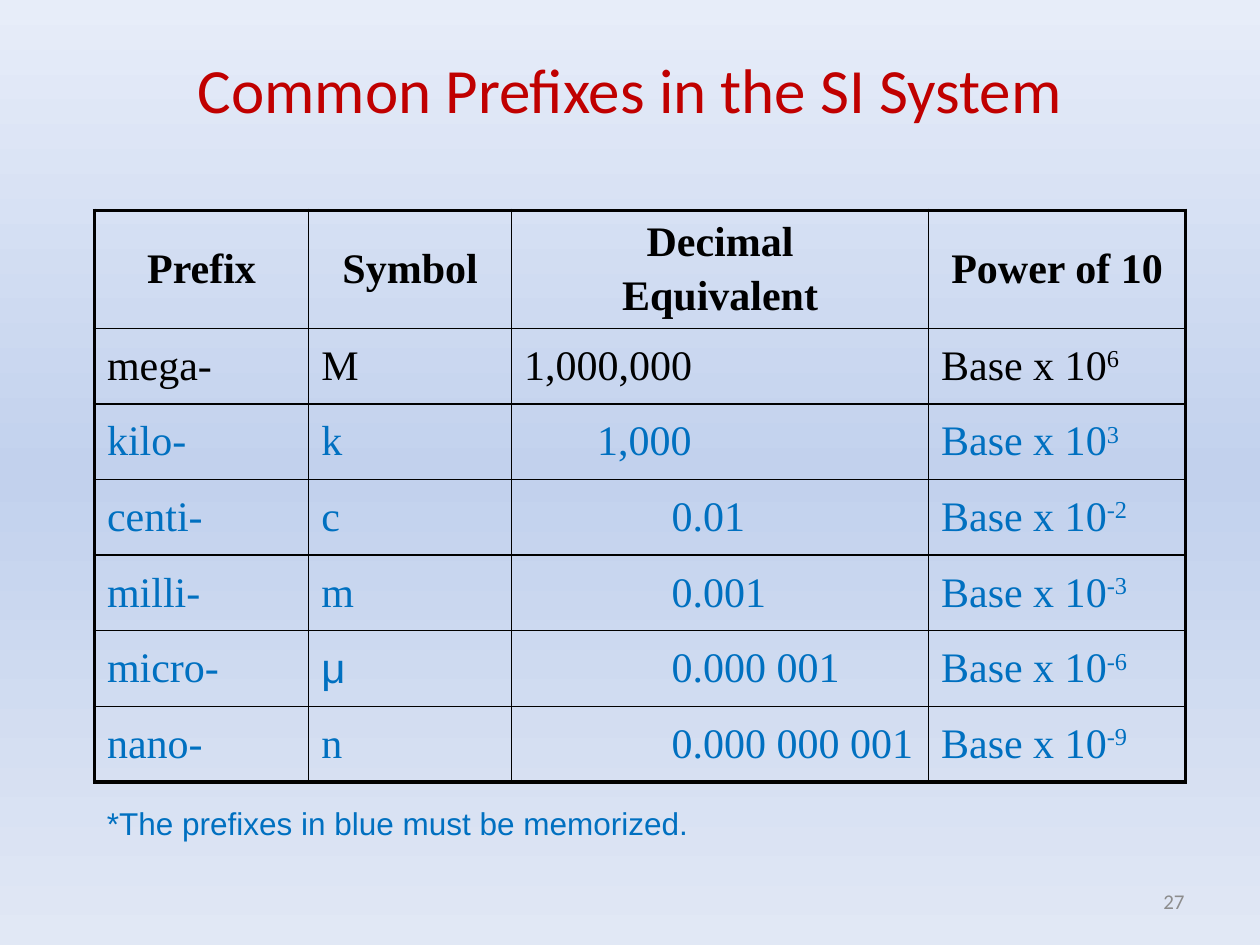
import copy

import pptx
import pptx.dml.color
import pptx.enum.text
import pptx.oxml
import pptx.oxml.ns
import pptx.util
from pptx.util import Inches

ALIGN = pptx.enum.text.PP_ALIGN
MIDDLE = pptx.enum.text.MSO_ANCHOR.MIDDLE
BLACK, BLUE, RED, GREY = "000000", "0070C0", "C00000", "8C8C8C"
BACKGROUND_STOPS = [(0, "E7EDF9"), (0.5, "C2D1ED"), (1, "E1E8F5")]

HEADINGS = ["Prefix", "Symbol", "Decimal\nEquivalent", "Power of 10"]
COLUMN_WIDTHS = [1.7, 1.61, 3.31, 2.04]
HEADER_HEIGHT, ROW_HEIGHT = 0.9, 0.6
# prefix, symbol, decimal equivalent, indent of the decimal, exponent, colour
PREFIXES = [
    ("mega-", "M", "1,000,000", 0, "6", BLACK),
    ("kilo-", "k", "1,000", 0.58, "3", BLUE),
    ("centi-", "c", "0.01", 1.17, "-2", BLUE),
    ("milli-", "m", "0.001", 1.17, "-3", BLUE),
    ("micro-", "μ", "0.000 001", 1.17, "-6", BLUE),
    ("nano-", "n", "0.000 000 001", 1.17, "-9", BLUE),
]


def rgb(hex_colour):
    return pptx.dml.color.RGBColor.from_string(hex_colour)


def apply_format(target, **values):
    for name, value in values.items():
        setattr(target, name, value)


def write(frame, text, font, size, colour, bold=False, align=ALIGN.LEFT):
    """Fill a text frame, one paragraph for each line of text."""
    for number, line in enumerate(text.split("\n")):
        paragraph = frame.add_paragraph() if number else frame.paragraphs[0]
        paragraph.alignment = align
        if number:
            paragraph.space_before = pptx.util.Pt(4)
        add_run(paragraph, line, font, size, colour, bold)


def add_run(paragraph, text, font, size, colour, bold=False):
    run = paragraph.add_run()
    run.text = text
    apply_format(run.font, name=font, size=pptx.util.Pt(size), bold=bold)
    run.font.color.rgb = rgb(colour)
    return run


def paint_background(slide):
    fill = slide.background.fill
    fill.gradient()
    fill.gradient_angle = 270
    first = fill.gradient_stops[0]._gs
    first.addnext(copy.deepcopy(first))
    for stop, (position, colour) in zip(fill.gradient_stops, BACKGROUND_STOPS):
        stop.position = position
        stop.color.rgb = rgb(colour)


def place_title(slide, left, top, width, height):
    title = slide.shapes.title
    apply_format(title, left=left, top=top, width=width, height=height)
    title.text_frame.vertical_anchor = MIDDLE
    write(title.text_frame, "Common Prefixes in the SI System",
          "Calibri", 36, RED, align=ALIGN.CENTER)


def set_borders(cell, widths):
    """Draw black borders; widths maps L, R, T and B to points."""
    properties = cell._tc.get_or_add_tcPr()
    for side in "LRTB":
        properties.append(pptx.oxml.parse_xml(
            f'<a:ln{side} {pptx.oxml.ns.nsdecls("a")} w="{pptx.util.Pt(widths[side])}">'
            f'<a:solidFill><a:srgbClr val="{BLACK}"/></a:solidFill></a:ln{side}>'))


def place_table(slide, left, top):
    row_count, column_count = len(PREFIXES) + 1, len(HEADINGS)
    table = slide.shapes.add_table(
        row_count, column_count, left, top, Inches(sum(COLUMN_WIDTHS)),
        Inches(HEADER_HEIGHT + ROW_HEIGHT * len(PREFIXES))).table
    apply_format(table, first_row=False, horz_banding=False)
    for column, width in zip(table.columns, COLUMN_WIDTHS):
        column.width = Inches(width)
    for number, row in enumerate(table.rows):
        row.height = Inches(ROW_HEIGHT if number else HEADER_HEIGHT)
        for position, cell in enumerate(row.cells):
            outer = {"L": position == 0, "R": position == column_count - 1,
                     "T": number == 0, "B": number == row_count - 1}
            set_borders(cell, {side: 2.25 if edge else 1 for side, edge in outer.items()})
            cell.fill.background()
            apply_format(cell, vertical_anchor=MIDDLE,
                         margin_top=Inches(0.04), margin_bottom=Inches(0.04))
    for cell, heading in zip(table.rows[0].cells, HEADINGS):
        write(cell.text_frame, heading, "Times New Roman", 24, BLACK, True, ALIGN.CENTER)
    for number, prefix in enumerate(PREFIXES, 1):
        fill_prefix_row(table.rows[number].cells, *prefix)


def fill_prefix_row(cells, prefix, symbol, decimal, indent, exponent, colour):
    for cell, text in zip(cells, (prefix, symbol, decimal, "Base x 10")):
        font = "Arial" if text == "μ" else "Times New Roman"
        write(cell.text_frame, text, font, 24, colour)
    decimal_properties = cells[2].text_frame.paragraphs[0]._p.get_or_add_pPr()
    decimal_properties.set("marL", str(Inches(indent)))
    power = add_run(cells[3].text_frame.paragraphs[0], exponent,
                    "Times New Roman", 24, colour)
    power._r.get_or_add_rPr().set("baseline", "30000")


def place_footnote(slide, left, top, width, height):
    frame = slide.shapes.add_textbox(left, top, width, height).text_frame
    frame.word_wrap = False
    write(frame, "*The prefixes in blue must be memorized.", "Arial", 18, BLUE)


def place_page_number(slide, left, top, width, height):
    frame = slide.shapes.add_textbox(left, top, width, height).text_frame
    apply_format(frame, word_wrap=True, vertical_anchor=MIDDLE)
    write(frame, "27", "Calibri", 12, GREY, align=ALIGN.RIGHT)


def main():
    presentation = pptx.Presentation()
    apply_format(presentation, slide_width=Inches(10), slide_height=Inches(7.5))
    slide = presentation.slides.add_slide(presentation.slide_layouts[5])
    paint_background(slide)
    place_page_number(slide, Inches(7.17), Inches(6.95), Inches(2.33), Inches(0.4))
    place_title(slide, Inches(0.75), Inches(0.33), Inches(8.5), Inches(0.75))
    place_table(slide, Inches(0.75), Inches(1.67))
    place_footnote(slide, Inches(0.75), Inches(6.33), Inches(4.86), Inches(0.4))
    presentation.save("out.pptx")


if __name__ == "__main__":
    main()
